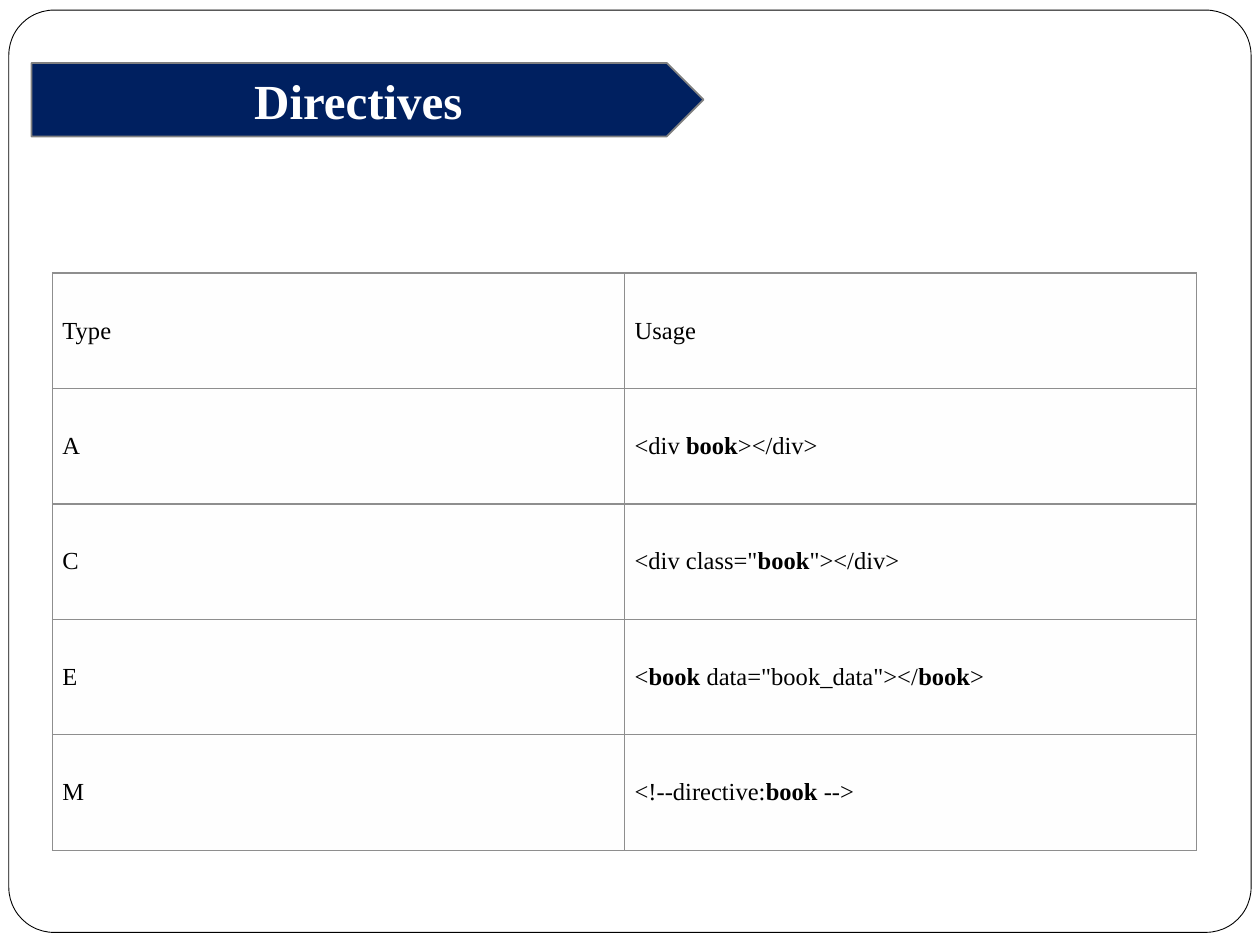
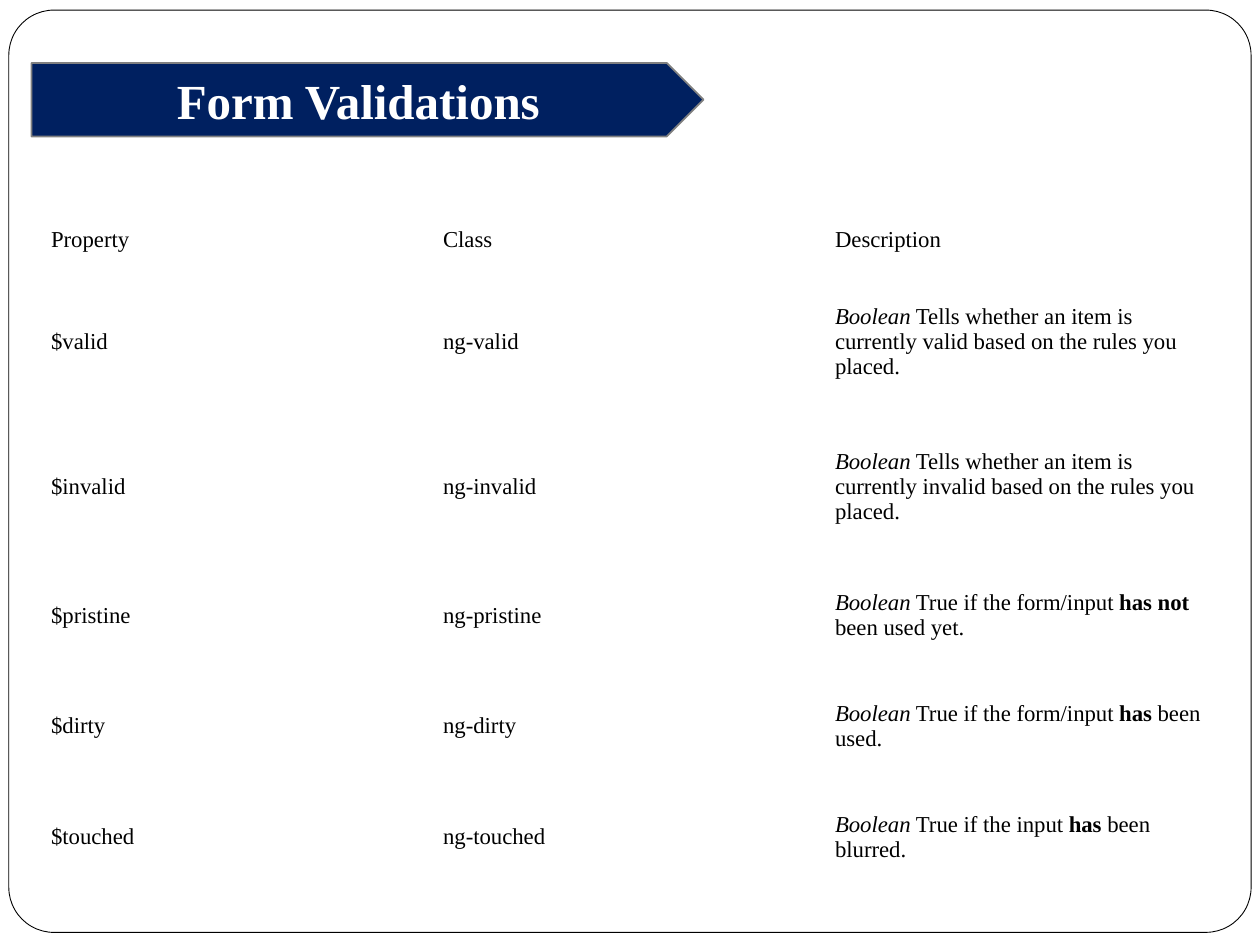
from lxml import etree
from pptx import Presentation
from pptx.dml.color import RGBColor
from pptx.enum.shapes import MSO_SHAPE
from pptx.enum.text import MSO_ANCHOR, PP_ALIGN
from pptx.oxml.ns import qn
from pptx.util import Pt

ROUNDED_RECTANGLE = MSO_SHAPE.ROUNDED_RECTANGLE
PENTAGON = MSO_SHAPE.PENTAGON
MIDDLE = MSO_ANCHOR.MIDDLE
CENTER = PP_ALIGN.CENTER

WHITE = RGBColor(0xFF, 0xFF, 0xFF)
BLACK = RGBColor(0x00, 0x00, 0x00)
NAVY = RGBColor(0x00, 0x20, 0x60)
GRAY = RGBColor(0x80, 0x80, 0x80)
BORDER_GRAY = RGBColor(0x8E, 0x8E, 0x8E)
CELL_WHITE = RGBColor(0xFE, 0xFE, 0xFE)

BOLD = {"bold": True}
ITALIC = {"italic": True}
BOOLEAN = ("Boolean", ITALIC)

DIRECTIVE_ROWS = [
    ["Type", "Usage"],
    ["A", ["<div ", ("book", BOLD), "></div>"]],
    ["C", ['<div class="', ("book", BOLD), '"></div>']],
    ["E", ["<", ("book ", BOLD), 'data="book_data"></', ("book", BOLD), ">"]],
    ["M", ["<!--directive:", ("book", BOLD), " -->"]],
]

VALIDATION_DESCRIPTIONS = {
    "valid": [" Tells whether an item is currently valid based on the rules you placed."],
    "invalid": [" Tells whether an item is currently invalid based on the rules you placed."],
    "pristine": [" True if the form/input ", ("has not", BOLD), " been used yet."],
    "dirty": [" True if the form/input ", ("has", BOLD), " been used."],
    "touched": [" True if the input ", ("has", BOLD), " been blurred."],
}
VALIDATION_ROWS = [["Property", "Class", "Description"]] + [
    [f"${state}", f"ng-{state}", [BOOLEAN, *description]]
    for state, description in VALIDATION_DESCRIPTIONS.items()
]


class Deck:
    font_name = "Times New Roman"

    def __init__(self):
        self.presentation = Presentation()
        self.presentation.slide_width = Pt(720)
        self.presentation.slide_height = Pt(540)
        self.slide = None

    def add_slide(self):
        self.slide = self.presentation.slides.add_slide(self.presentation.slide_layouts[6])
        frame = self.add_shape(ROUNDED_RECTANGLE, (5.04, 5.76, 709.92, 527.04), WHITE, BLACK, 0.5)
        frame.adjustments[0] = 0.049

    def add_shape(self, kind, box, fill, line, line_width):
        shape = self.slide.shapes.add_shape(kind, *map(Pt, box))
        shape.shadow.inherit = False
        shape.fill.solid()
        shape.fill.fore_color.rgb = fill
        shape.line.color.rgb = line
        shape.line.width = Pt(line_width)
        return shape

    def add_runs(self, paragraph, content, size, color, **shared):
        for piece in [content] if isinstance(content, str) else content:
            text, own = (piece, {}) if isinstance(piece, str) else piece
            run = paragraph.add_run()
            run.text = text
            run.font.color.rgb = color
            formats = {"name": self.font_name, "size": Pt(size), "bold": False, "italic": False}
            for name, value in {**formats, **shared, **own}.items():
                setattr(run.font, name, value)

    def add_banner(self, title):
        banner = self.add_shape(PENTAGON, (18, 36, 384, 42), NAVY, GRAY, 1)
        banner.text_frame.vertical_anchor = MIDDLE
        paragraph = banner.text_frame.paragraphs[0]
        paragraph.alignment = CENTER
        self.add_runs(paragraph, title, 28, WHITE, bold=True)

    def add_borders(self, cell, color, width):
        properties = cell._tc.get_or_add_tcPr()
        for index, side in enumerate(("lnL", "lnR", "lnT", "lnB")):
            line = etree.Element(qn(f"a:{side}"), w=str(Pt(width)))
            fill = etree.SubElement(line, qn("a:solidFill"))
            etree.SubElement(fill, qn("a:srgbClr"), val=str(color))
            properties.insert(index, line)

    def add_table(self, rows, position, column_width, row_heights, size, side_margin,
                  fill=None, border=None):
        column_count = len(rows[0])
        extent = (column_width * column_count, sum(row_heights))
        table = self.slide.shapes.add_table(
            len(rows), column_count, *map(Pt, position + extent)).table
        table.first_row = False
        table.horz_banding = False
        for column in table.columns:
            column.width = Pt(column_width)
        formats = {
            "vertical_anchor": MIDDLE,
            "margin_left": Pt(side_margin),
            "margin_right": Pt(side_margin),
            "margin_top": Pt(2.7),
            "margin_bottom": Pt(2.7),
        }
        for row, height, contents in zip(table.rows, row_heights, rows):
            row.height = Pt(height)
            for cell, content in zip(row.cells, contents):
                for name, value in formats.items():
                    setattr(cell, name, value)
                if fill is None:
                    cell.fill.background()
                else:
                    cell.fill.solid()
                    cell.fill.fore_color.rgb = fill
                if border is not None:
                    self.add_borders(cell, border, 0.75)
                self.add_runs(cell.text_frame.paragraphs[0], content, size, BLACK)


def main():
    deck = Deck()

    deck.add_slide()
    deck.add_table(DIRECTIVE_ROWS, (30, 156), 327, [66] * 5, 14, 5.7, CELL_WHITE, BORDER_GRAY)
    deck.add_banner("Directives")

    deck.add_slide()
    deck.add_table(VALIDATION_ROWS, (24, 120), 224, [34] + [83] * 2 + [63.4] * 3, 13, 5.2)
    deck.add_banner("Form Validations")

    deck.presentation.save("out.pptx")


if __name__ == "__main__":
    main()
